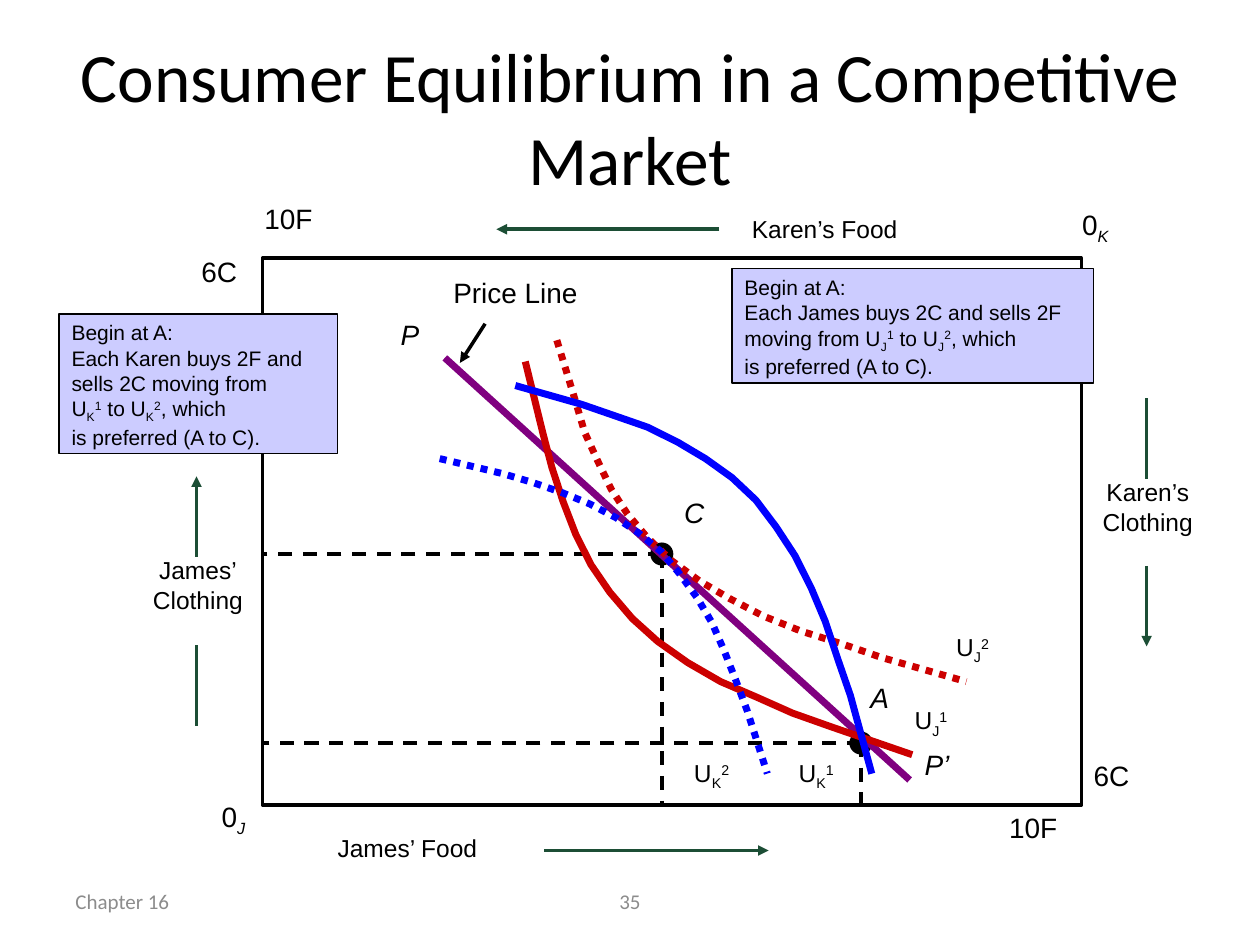
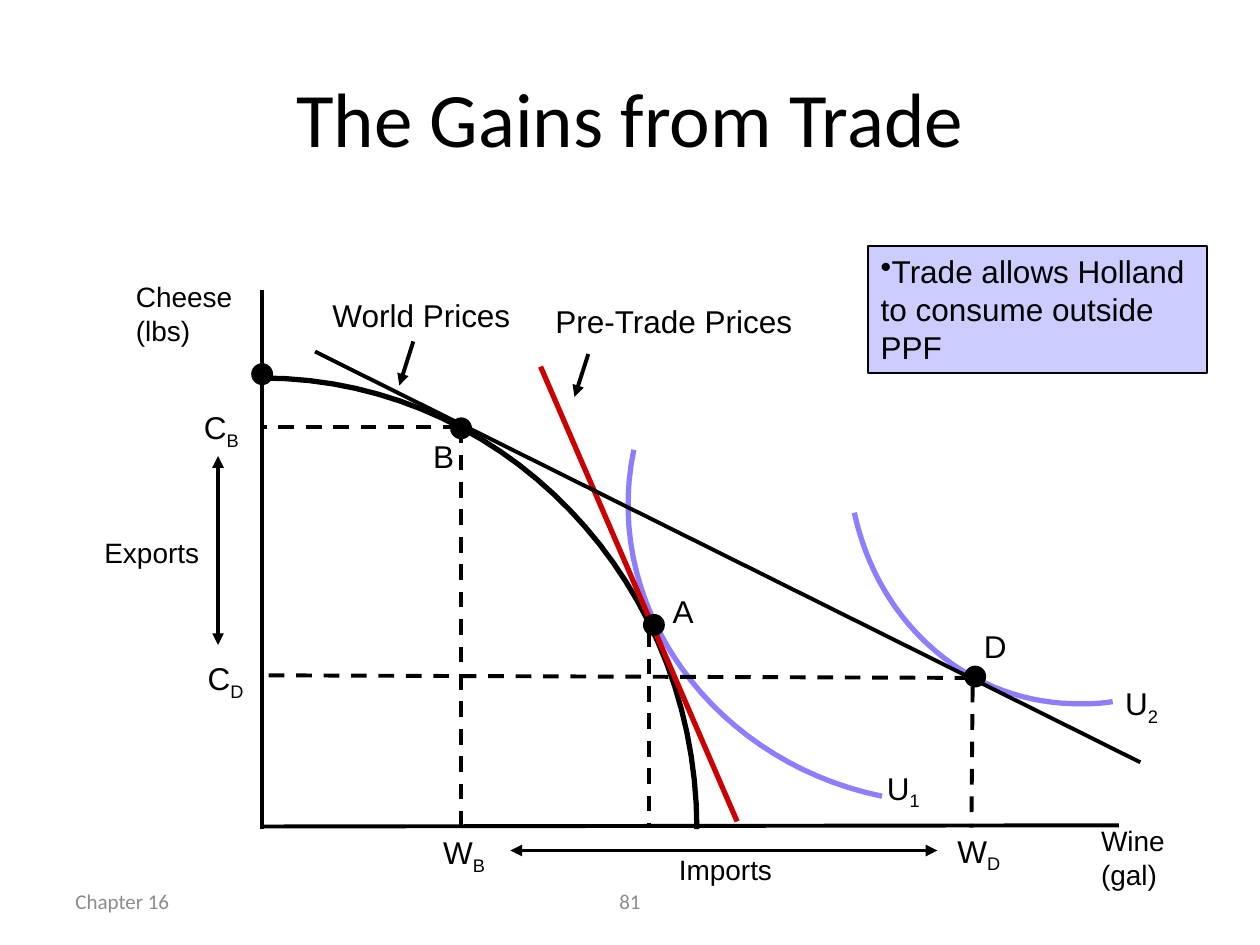
from lxml.etree import SubElement
from pptx import Presentation
from pptx.dml.color import RGBColor
from pptx.enum.dml import MSO_LINE
from pptx.enum.shapes import MSO_CONNECTOR, MSO_SHAPE
from pptx.enum.text import MSO_ANCHOR, MSO_AUTO_SIZE, PP_ALIGN
from pptx.oxml.ns import qn
from pptx.util import Pt

BLACK = RGBColor(0x00, 0x00, 0x00)
GREY = RGBColor(0x8C, 0x8C, 0x8C)
GREEN = RGBColor(0x1C, 0x4E, 0x35)
RED = RGBColor(0xCC, 0x00, 0x00)
BLUE = RGBColor(0x00, 0x00, 0xFF)
PURPLE = RGBColor(0x80, 0x00, 0x80)
VIOLET = RGBColor(0x8D, 0x7D, 0xFF)
LAVENDER = RGBColor(0xCC, 0xCC, 0xFF)

LEFT, CENTER = PP_ALIGN.LEFT, PP_ALIGN.CENTER
DASH, DOTS = MSO_LINE.DASH, MSO_LINE.ROUND_DOT
NO_HEAD, END_HEAD, BOTH_HEADS = (), ("tailEnd",), ("headEnd", "tailEnd")
BASELINES = {"_": "-25000", "~": "-25000", "^": "30000"}

FRAME = (150, 147.6, 468, 312.5)
EQUILIBRIUM_LABELS = [
    ("Price Line", 252, 154.1, 90.7, 16),
    ("10F", 144, 111.6, 41.8, 16),
    ("0|~K", 611.3, 115.2, 31, 16),
    ("0|~J", 119.5, 453.6, 29.5, 16),
    ("6C", 108, 141.8, 34.6, 16),
    ("10F", 569.5, 459.4, 41.8, 16),
    ("6C", 617.8, 429.8, 34.6, 16),
    ("Karen’s Food", 422.6, 118.8, 103.7, 14),
    ("James’ Food", 185.8, 472.3, 99.4, 14),
    ("U|_J|^2", 539.3, 357.8, 34.6, 14),
    ("U|_J|^1", 515.5, 399.6, 34.6, 14),
    ("U|_K|^1", 449.3, 429.8, 36, 14),
    ("U|_K|^2", 389.5, 429.8, 36, 14),
]
CLOTHING_LABELS = [
    ("James’\nClothing", 77.8, 313.9, 70.6, 14),
    ("Karen’s\nClothing", 620.6, 269.3, 70.6, 14),
]
POINT_LABELS = [
    ("C", 383.8, 279.4, 25.9, 16),
    ("A", 490.3, 385.2, 25.9, 16),
    ("P", 221.8, 177.8, 25.2, 16),
    ("P’", 521.3, 423.4, 29.5, 16),
]
GOODS_ARROWS = [
    ((112.3, 414.7), (112.3, 368.6), NO_HEAD),
    ((112.3, 318.2), (112.3, 272.2), END_HEAD),
    ((655.2, 227.5), (655.2, 273.6), NO_HEAD),
    ((655.2, 323.3), (655.2, 369.4), END_HEAD),
    ((411.1, 131), (283.7, 131), END_HEAD),
    ((311, 486), (439.2, 486), END_HEAD),
]
ALLOCATIONS = [(378.2, 316.6), (492, 424.6)]
TRADE_NOTES = [
    ("Begin at A:\nEach James buys 2C and sells 2F\n"
     "moving from U|_J|^1| to U|_J|^2|, which\nis preferred (A to C).",
     418.3, 153.4, 206.6, 65.5),
    ("Begin at A:\nEach Karen buys 2F and sells 2C moving from\n"
     "U|_K|^1| to U|_K|^2|, which\nis preferred (A to C).",
     33.8, 179.3, 159.1, 79.9),
]
INDIFFERENCE_CURVES = [
    (RED, DOTS, [
        (318.2, 194.4), (329, 229.7), (334.1, 247), (341.3, 262.8), (349.2, 279.4),
        (358.6, 293.8), (370.1, 307.4), (383.8, 320.4), (399.6, 331.9), (416.9, 342),
        (436.3, 352.1), (457.9, 360.7), (481, 367.9), (504, 375.8), (552.2, 389.5)]),
    (RED, None, [
        (300.2, 206.6), (310.3, 247.7), (315.4, 267.1), (321.8, 286.6), (329, 305.3),
        (337.7, 322.6), (348.5, 338.4), (361.4, 353.5), (375.8, 366.5), (393.1, 378.7),
        (411.8, 389.5), (432, 398.2), (452.9, 407.5), (475.2, 415.4), (521.3, 431.3)]),
    (BLUE, None, [
        (294.5, 220.3), (332.6, 231.1), (351.4, 237.6), (370.1, 244.1), (387.4, 252.7),
        (403.2, 262.1), (418.3, 272.9), (432, 285.8), (443.5, 301), (454.3, 317.5),
        (463.7, 336.2), (471.6, 355), (478.8, 376.6), (486, 397.4), (498.2, 442.1)]),
    (BLUE, DOTS, [
        (251.3, 262.1), (287.3, 270.7), (304.6, 275.8), (321.1, 281.5), (337, 288),
        (352.1, 295.9), (365, 304.6), (378, 315.4), (388.1, 327.6), (398.2, 341.3),
        (406.8, 355.7), (414, 372.2), (420.5, 388.8), (427, 406.1), (438.5, 442.1)]),
]

GAINS_LABELS = [
    ("Cheese (lbs)", 70.6, 156.2, 82.1, 16),
    ("Wine (gal)", 622.1, 467.3, 82.1, 16),
    ("Exports", 52.6, 302.4, 82.1, 16),
    ("Imports", 380.9, 483.8, 82.1, 16),
    ("World Prices", 182.9, 165.6, 162, 18),
    ("Pre-Trade Prices", 310.3, 169.2, 175, 18),
    ("U|_1", 499.7, 435.6, 50, 18),
    ("U|_2", 635.8, 387.4, 50, 18),
    ("C|_B", 109.4, 229.7, 50, 18),
    ("C|_D", 111.6, 373, 50, 18),
    ("W|_B", 246.2, 472.3, 50, 18),
    ("W|_D", 540, 471.6, 50, 18),
    ("B", 240.5, 246.2, 50, 18),
    ("A", 377.3, 334.8, 50, 18),
    ("D", 555.1, 355, 50, 18),
]
AXES = [((149.8, 165.6), (149.8, 473.8)), ((149.8, 472.3), (639.4, 471.6))]
FRONTIER = [(149.8, 216), (287.3, 216), (398.2, 331.2), (398.2, 473.8)]
UTILITY_CURVES = [
    [(504, 455), (406.8, 434.9), (343.4, 346.3), (362.2, 257)],
    [(635.8, 401), (626.4, 402.5), (616.3, 402.5), (606.2, 401.8),
     (548.6, 397.4), (501.1, 353.5), (488.2, 293)],
]
PRE_TRADE_LINE = ((308.9, 209.5), (421.2, 469.4))
WORLD_LINE = ((180, 200.9), (651.6, 435.6))
GAINS_ARROWS = [
    ((336.2, 202.3), (328.3, 226.8), END_HEAD),
    ((236.2, 195.1), (228.2, 220.3), END_HEAD),
    ((124.6, 260.6), (124.6, 368.6), BOTH_HEADS),
    ((291.6, 486), (535.7, 486), BOTH_HEADS),
]
GAINS_GUIDES = [
    ((262.1, 244.1), (149.8, 244.1)),
    ((263.5, 244.1), (263.5, 472.3)),
    ((370.8, 360.7), (370.8, 473)),
    ((554.4, 387.4), (149, 385.9)),
    ((555.8, 392.4), (555.1, 473)),
]
GAINS_DOTS = [(149.8, 213.8), (263.5, 244.8), (373.7, 357.1), (557.3, 386.6)]
GAINS_NOTE = ("Trade allows Holland to consume outside PPF", 496.1, 140.4, 193.7, 72.7)


def write(tf, text, size, color=BLACK, font="Arial", align=LEFT, italic=False, bullet=None):
    for i, line in enumerate(text.split("\n")):
        p = tf.paragraphs[0] if i == 0 else tf.add_paragraph()
        p.alignment = align
        if bullet:
            SubElement(p._p.get_or_add_pPr(), qn("a:buChar"), char=bullet)
        p.font.size, p.font.name, p.font.italic = Pt(size), font, italic
        p.font.color.rgb = color
        for part in line.split("|"):
            r = p.add_run()
            r.text = part.lstrip("_~^")
            if part[0] in BASELINES:
                r._r.get_or_add_rPr().set("baseline", BASELINES[part[0]])
            if part[0] == "~":
                r.font.italic = True


def add_label(s, text, x, y, w, size, wrap=False, h=None, anchor=MSO_ANCHOR.TOP, **style):
    h = h or 7.2 + 1.17 * size * (text.count("\n") + 1)
    tf = s.shapes.add_textbox(Pt(x), Pt(y), Pt(w), Pt(h)).text_frame
    tf.word_wrap, tf.vertical_anchor = wrap, anchor
    write(tf, text, size, **style)


def set_line(line, color, width, dash=None):
    line.color.rgb, line.width = color, Pt(width)
    if dash:
        line.dash_style = dash


def add_line(s, start, end, color=BLACK, width=2.25, dash=None, heads=NO_HEAD):
    c = s.shapes.add_connector(MSO_CONNECTOR.STRAIGHT, *(Pt(v) for v in start + end))
    set_line(c.line, color, width, dash)
    for head in heads:
        SubElement(c.line._get_or_add_ln(), qn("a:" + head), type="triangle")
    SubElement(c._element.spPr, qn("a:effectLst"))


def add_box(s, kind, x, y, w, h, fill=None, width=1):
    sp = s.shapes.add_shape(kind, Pt(x), Pt(y), Pt(w), Pt(h))
    sp.shadow.inherit = False
    if fill is None:
        sp.fill.background()
    else:
        sp.fill.solid()
        sp.fill.fore_color.rgb = fill
    set_line(sp.line, BLACK, width)
    return sp


def add_dot(s, center, d):
    add_box(s, MSO_SHAPE.OVAL, center[0] - d / 2, center[1] - d / 2, d, d, BLACK)


def add_note(s, text, x, y, w, h, size, bullet=None):
    tf = add_box(s, MSO_SHAPE.RECTANGLE, x, y, w, h, LAVENDER).text_frame
    tf.word_wrap, tf.vertical_anchor = True, MSO_ANCHOR.TOP
    write(tf, text, size, bullet=bullet)


def add_curve(s, points, color, width, dash=None):
    pts = [(Pt(x), Pt(y)) for x, y in points]
    builder = s.shapes.build_freeform(*pts[0])
    builder.add_line_segments(pts[1:], close=False)
    sp = builder.convert_to_shape()
    sp.shadow.inherit = False
    sp.fill.background()
    set_line(sp.line, color, width, dash)


def bezier(controls, steps=30):
    points = [controls[0]]
    for i in range(0, len(controls) - 1, 3):
        for n in range(1, steps + 1):
            t = n / steps
            weights = ((1 - t) ** 3, 3 * t * (1 - t) ** 2, 3 * t * t * (1 - t), t ** 3)
            points.append(tuple(sum(k * c[axis] for k, c in zip(weights, controls[i:i + 4]))
                                for axis in (0, 1)))
    return points


def add_slide(prs, title, size, number):
    s = prs.slides.add_slide(prs.slide_layouts[5])
    sp = s.shapes.title
    sp.left, sp.top, sp.width, sp.height = Pt(36), Pt(21.6), Pt(648), Pt(90)
    tf = sp.text_frame
    tf.auto_size, tf.vertical_anchor = MSO_AUTO_SIZE.NONE, MSO_ANCHOR.MIDDLE
    write(tf, title, size, font="Calibri", align=CENTER)
    for text, x, w, align in (("Chapter 16", 36, 168, LEFT), (number, 246, 228, CENTER)):
        add_label(s, text, x, 500.5, w, 12, wrap=True, h=28.8, anchor=MSO_ANCHOR.MIDDLE,
                  color=GREY, font="Calibri", align=align)
    return s


def build_equilibrium(prs):
    s = add_slide(prs, "Consumer Equilibrium in a Competitive Market", 39.6, "35")
    add_box(s, MSO_SHAPE.RECTANGLE, *FRAME, width=2)
    for label in EQUILIBRIUM_LABELS:
        add_label(s, *label)
    for label in CLOTHING_LABELS:
        add_label(s, *label, align=CENTER)
    for label in POINT_LABELS:
        add_label(s, *label, italic=True)
    add_line(s, (277.2, 185), (262.8, 207.4), width=2, heads=END_HEAD)
    for start, end, heads in GOODS_ARROWS:
        add_line(s, start, end, GREEN, 2, heads=heads)
    for x, y in ALLOCATIONS:
        add_dot(s, (x, y), 12.2)
        add_line(s, (x, y), (FRAME[0], y), width=2, dash=DASH)
        add_line(s, (x, y), (x, FRAME[1] + FRAME[3]), width=2, dash=DASH)
    for note in TRADE_NOTES:
        add_note(s, *note, 12)
    add_line(s, (254.2, 204.5), (519.8, 445.7), PURPLE, 4)
    for color, dash, points in INDIFFERENCE_CURVES:
        add_curve(s, points, color, 4, dash)


def build_gains(prs):
    s = add_slide(prs, "The Gains from Trade", 44, "81")
    for start, end in AXES:
        add_line(s, start, end)
    add_curve(s, bezier(FRONTIER), BLACK, 3)
    for controls in UTILITY_CURVES:
        add_curve(s, bezier(controls), VIOLET, 3)
    add_line(s, *PRE_TRADE_LINE, RED, 3)
    add_line(s, *WORLD_LINE)
    for start, end, heads in GAINS_ARROWS:
        add_line(s, start, end, heads=heads)
    for start, end in GAINS_GUIDES:
        add_line(s, start, end, dash=DASH)
    for center in GAINS_DOTS:
        add_dot(s, center, 11.5)
    for label in GAINS_LABELS:
        add_label(s, *label, wrap=True)
    add_note(s, *GAINS_NOTE, 18, bullet="•")


def main():
    prs = Presentation()
    prs.slide_width, prs.slide_height = Pt(720), Pt(540)
    build_equilibrium(prs)
    build_gains(prs)
    prs.save("out.pptx")


if __name__ == "__main__":
    main()
